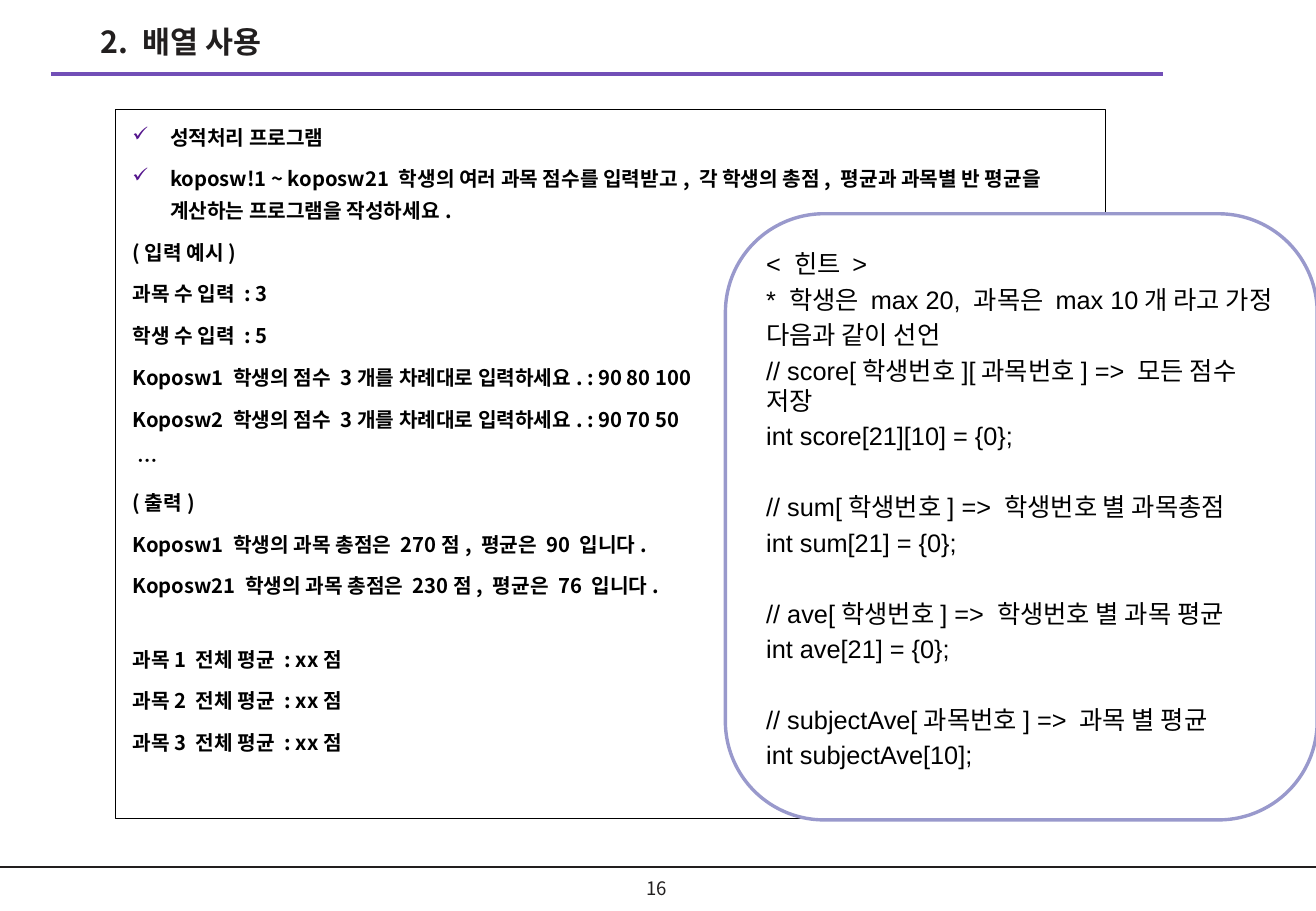
"""Builds the array lesson slide with its task box and hint bubble."""
from dataclasses import dataclass

from lxml.etree import SubElement as Sub
from pptx import Presentation as Deck
from pptx.dml.color import RGBColor as Color
from pptx.enum.shapes import MSO_CONNECTOR as Link, MSO_SHAPE as Form
from pptx.enum.text import MSO_ANCHOR as Anchor, PP_ALIGN as Align
from pptx.oxml.ns import qn
from pptx.util import Inches, Length, Pt

BLACK = Color(0x00, 0x00, 0x00)
INK = Color(0x22, 0x1F, 0x1F)
PURPLE = Color(0x72, 0x4F, 0xB7)
LILAC = Color(0x99, 0x99, 0xCC)
WHITE = Color(0xFF, 0xFF, 0xFF)
TICK = "54158D"
NOTO = "Noto Sans CJK KR"
COLS, ROWS = 108.3, 75


@dataclass
class Area:
    col: float
    row: float
    wide: float
    high: float


@dataclass
class Rule:
    left: float
    right: float
    row: float
    color: Color
    width: float


@dataclass
class Line:
    text: str
    tick: bool = False
    gap: bool = False


@dataclass
class Panel:
    form: Form
    area: Area
    edge: Color
    width: float
    pad: tuple[float, float]
    lines: list[Line]
    style: dict
    fill: Color | None = None


RULES = [Rule(0, 108.4, 71.4, INK, 1), Rule(4.2, 95.7, 6.1, PURPLE, 2.25)]

TASK = [
    Line("성적처리 프로그램", tick=True),
    Line("koposw!1 ~ koposw21 학생의 여러 과목 점수를 입력받고, 각 학생의 총점, "
         "평균과 과목별 반 평균을 계산하는 프로그램을 작성하세요.", tick=True),
    Line("(입력 예시)"),
    Line("과목 수 입력 : 3"),
    Line("학생 수 입력 : 5"),
    Line("Koposw1 학생의 점수 3개를 차례대로 입력하세요. : 90 80 100"),
    Line("Koposw2 학생의 점수 3개를 차례대로 입력하세요. : 90 70 50"),
    Line(" …"),
    Line("(출력)"),
    Line("Koposw1 학생의 과목 총점은 270점, 평균은 90 입니다."),
    Line("Koposw21 학생의 과목 총점은 230점, 평균은 76 입니다."),
    *[Line(f"과목{n} 전체 평균 : xx점", gap=n == 1) for n in (1, 2, 3)],
]

HINT = [
    Line("< 힌트 >"),
    Line("* 학생은 max 20, 과목은 max 10개 라고 가정"),
    Line("다음과 같이 선언"),
    Line("// score[학생번호][과목번호] => 모든 점수 저장"),
    Line("int score[21][10] = {0};"),
    Line("// sum[학생번호] => 학생번호 별 과목총점", gap=True),
    Line("int sum[21] = {0};"),
    Line("// ave[학생번호] => 학생번호 별 과목 평균", gap=True),
    Line("int ave[21] = {0};"),
    Line("// subjectAve[과목번호] => 과목 별 평균", gap=True),
    Line("int subjectAve[10];"),
]

PANELS = [
    Panel(Form.RECTANGLE, Area(9.5, 9, 81.5, 58.4), BLACK, 0.75, (1.4, 0.7), TASK,
          dict(size=12, font=NOTO, bold=True, space=1.3, before=6, skip=24.7)),
    Panel(Form.ROUNDED_RECTANGLE, Area(59.7, 17.6, 48.7, 49.9), LILAC, 2, (1, 0.5), HINT,
          dict(size=15, font="Arial", before=3, skip=24), WHITE),
]


def cell(count: float) -> Length:
    """Turns a count of grid cells into a length."""
    return Inches(count / 10)


def place(area: Area) -> tuple[Length, ...]:
    """Gives left, top, width and height of an area."""
    return tuple(cell(n) for n in (area.col, area.row, area.wide, area.high))


def write(frame, lines: list[Line], *, size: float, font: str, color: Color = BLACK,
          bold: bool = False, space: float = 1, before: float = 0, skip: float = 0,
          align: Align = Align.LEFT) -> None:
    """Fills a text frame with styled lines."""
    frame.word_wrap = True
    for spot, line in enumerate(lines):
        para = frame.add_paragraph() if spot else frame.paragraphs[0]
        para.alignment, para.line_spacing = align, space
        para.space_before = Pt(skip if line.gap else before)
        if line.tick:
            props = para._p.get_or_add_pPr()
            props.set("marL", str(cell(3.1)))
            props.set("indent", str(cell(-3.1)))
            Sub(Sub(props, qn("a:buClr")), qn("a:srgbClr"), val=TICK)
            Sub(props, qn("a:buChar"), char="✓")
        run = para.add_run()
        run.text = line.text
        run.font.size, run.font.bold, run.font.name = Pt(size), bold, font
        run.font.color.rgb = color
        if font == NOTO:
            Sub(run._r.get_or_add_rPr(), qn("a:ea"), typeface=font)


def rule(page, item: Rule) -> None:
    """Draws one level line."""
    row = cell(item.row)
    link = page.shapes.add_connector(Link.STRAIGHT, cell(item.left), row, cell(item.right), row)
    link.line.color.rgb, link.line.width = item.color, Pt(item.width)
    Sub(link._element.spPr, qn("a:effectLst"))


def label(page, area: Area, text: str, anchor: Anchor = Anchor.TOP, **style) -> None:
    """Adds a text box with one line."""
    frame = page.shapes.add_textbox(*place(area)).text_frame
    frame.vertical_anchor = anchor
    write(frame, [Line(text)], font=NOTO, color=INK, **style)


def panel(page, item: Panel) -> None:
    """Draws an outlined box with its lines of text."""
    shape = page.shapes.add_shape(item.form, *place(item.area))
    shape.shadow.inherit = False
    shape.line.color.rgb, shape.line.width = item.edge, Pt(item.width)
    if item.fill is None:
        shape.fill.background()
    else:
        shape.fill.solid()
        shape.fill.fore_color.rgb = item.fill
    frame = shape.text_frame
    frame.vertical_anchor = Anchor.TOP
    frame.margin_left = frame.margin_right = cell(item.pad[0])
    frame.margin_top = frame.margin_bottom = cell(item.pad[1])
    write(frame, item.lines, **item.style)


def main() -> None:
    """Builds and saves the slide."""
    deck = Deck()
    deck.slide_width, deck.slide_height = cell(COLS), cell(ROWS)
    page = deck.slides.add_slide(deck.slide_layouts[6])
    for item in RULES:
        rule(page, item)
    label(page, Area(51, 71.5, 6.1, 3.3), "16", Anchor.MIDDLE, size=11, align=Align.CENTER)
    label(page, Area(7.3, 1.4, 55.5, 4.8), "2. 배열 사용", size=18, bold=True)
    for item in PANELS:
        panel(page, item)
    deck.save("out.pptx")


if __name__ == "__main__":
    main()
